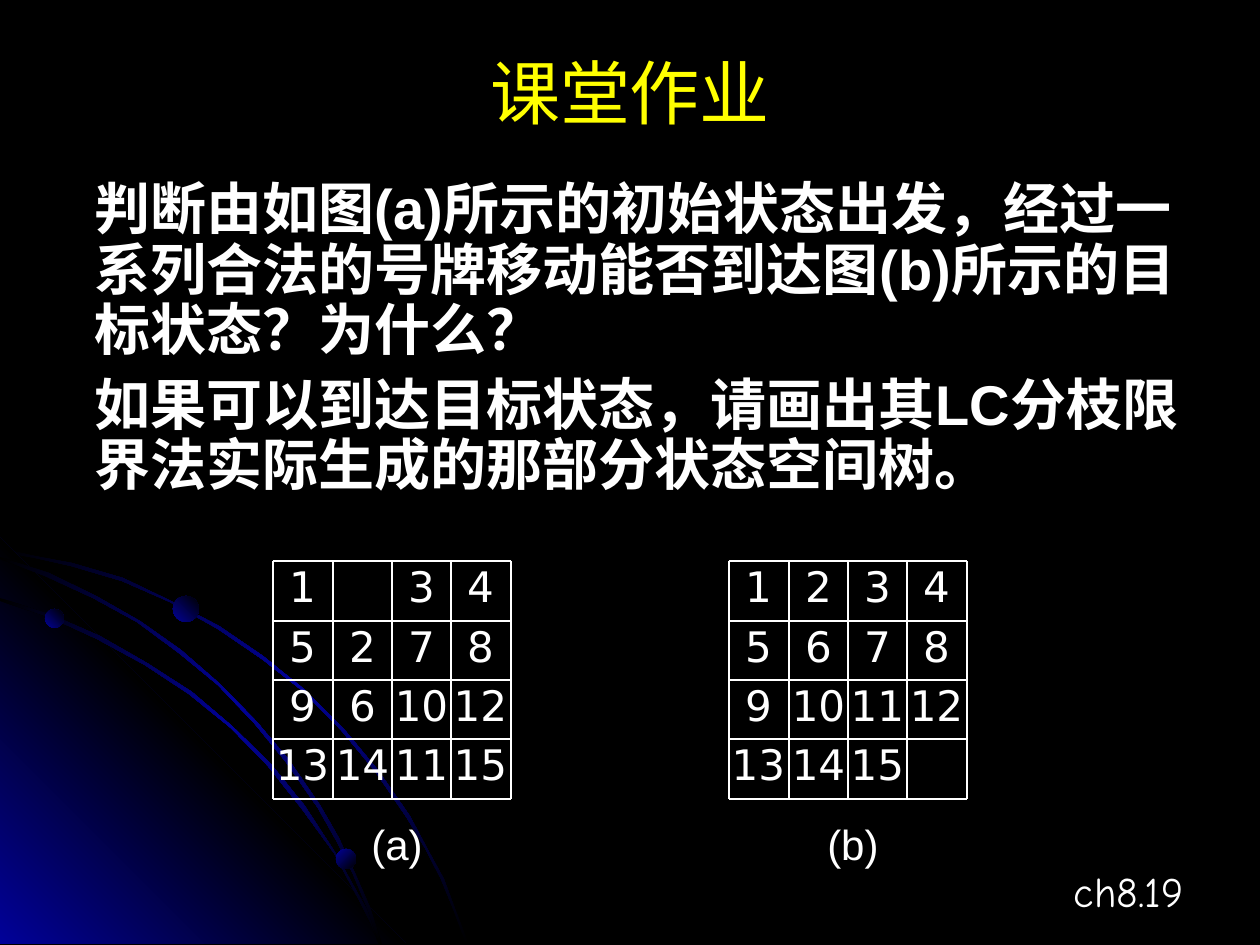
from copy import deepcopy

from pptx import Presentation
from pptx.dml.color import RGBColor
from pptx.enum.text import MSO_ANCHOR, MSO_AUTO_SIZE, PP_ALIGN
from pptx.enum.shapes import MSO_CONNECTOR, MSO_SHAPE
from pptx.oxml.ns import qn
from pptx.oxml.xmlchemy import OxmlElement
from pptx.util import Inches, Pt

PX = 7257  # EMU per px, 126 px to the inch

WHITE = RGBColor(0xFF, 0xFF, 0xFF)
THEME = {
    "black": RGBColor(0, 0, 0),
    "blue": RGBColor(0x01, 0x01, 0x99),
    "title": {"name": "Arial", "size": Pt(40), "bold": False, "color": RGBColor(0xFF, 0xFF, 0)},
    "body": {"name": "Arial", "size": Pt(32), "bold": True, "color": WHITE},
    "tile": {"name": "DejaVu Sans", "size": Pt(24), "color": WHITE},
    "label": {"name": "Arial", "size": Pt(24), "color": WHITE},
    "footer": {"name": "Comic Neue", "size": Pt(24), "color": WHITE},
    "line": WHITE,
}


def write(shape, texts, style, alignment, margins=None):
    """Fill a text shape with paragraphs in one theme style."""
    frame = shape.text_frame
    frame.word_wrap = True
    frame.auto_size = MSO_AUTO_SIZE.NONE
    if margins is not None:
        for side in ("left", "top", "right", "bottom"):
            setattr(frame, f"margin_{side}", margins)
    frame.text = "\n".join(texts)
    for paragraph in frame.paragraphs:
        paragraph.alignment = alignment
        for run in paragraph.runs:
            for name, value in THEME[style].items():
                if name == "color":
                    run.font.color.rgb = value
                else:
                    setattr(run.font, name, value)


def paint(shape, colors, angle):
    """Give a shape evenly spaced gradient stops; the angle runs anticlockwise."""
    shape.shadow.inherit = False
    shape.line.fill.background()
    shape.fill.gradient()
    shape.fill.gradient_angle = angle
    stop_list = shape.element.spPr.find(".//" + qn("a:gsLst"))
    for _ in colors[2:]:
        stop_list.append(deepcopy(stop_list[0]))
    for index, (stop, color) in enumerate(zip(shape.fill.gradient_stops, colors)):
        stop.position = index / (len(colors) - 1)
        stop.color.rgb = THEME[color]


presentation = Presentation()
presentation.slide_width = Inches(10)
presentation.slide_height = Inches(7.5)
slide = presentation.slides.add_slide(presentation.slide_layouts[1])
slide.background.fill.solid()
slide.background.fill.fore_color.rgb = THEME["black"]

# Corner decoration: glowing arcs and a blue corner
ARC = ("black", "blue", "black")
CORNER = ("blue", "black", "blue")
outlines = [
    (ARC, 315, [
        (72, 563), (35, 556), (0, 548), (0, 552), (35, 558), (71, 566), (122, 581),
        (170, 602), (218, 629), (262, 659), (304, 692), (341, 730), (375, 771),
        (407, 818), (425, 848), (441, 879), (454, 911), (466, 944), (469, 944),
        (456, 911), (444, 879), (427, 848), (410, 816), (378, 770), (343, 728),
        (305, 690), (263, 656), (219, 626), (171, 601), (123, 578)]),
    (CORNER, 45, [(406, 944), (0, 944), (0, 538)]),
    (ARC, 315, [
        (359, 900), (370, 922), (379, 944), (382, 944), (373, 920), (360, 897),
        (335, 852), (305, 806), (271, 764), (232, 726), (192, 692), (147, 663),
        (100, 636), (52, 615), (0, 598), (0, 601), (49, 617), (97, 639), (145, 665),
        (189, 694), (231, 728), (268, 766), (302, 809), (334, 853)]),
    (ARC, 315, [
        (0, 557), (0, 559), (45, 576), (93, 598), (137, 622), (179, 653), (218, 685),
        (255, 724), (286, 762), (318, 808), (336, 840), (353, 874), (368, 910),
        (379, 944), (382, 944), (370, 907), (355, 873), (339, 838), (320, 805),
        (289, 760), (257, 722), (220, 684), (181, 650), (140, 621), (96, 596),
        (49, 573)]),
]
decoration = slide.shapes.add_group_shape().shapes
for colors, angle, points in outlines:
    builder = decoration.build_freeform(*points[0], scale=PX)
    builder.add_line_segments(points[1:], close=True)
    paint(builder.convert_to_shape(), colors, angle)

# Beads on the arcs
for left, top, size, angle in [(45, 609, 19, 45), (336, 849, 20, 315), (173, 596, 26, 45)]:
    bead = decoration.add_shape(MSO_SHAPE.OVAL, left * PX, top * PX, size * PX, size * PX)
    paint(bead, ("blue", "black"), angle)

# Title
title = slide.shapes.title
title.left, title.top, title.width, title.height = 63 * PX, 38 * PX, 1134 * PX, 107 * PX
write(title, ["课堂作业"], "title", PP_ALIGN.CENTER)
title.text_frame.vertical_anchor = MSO_ANCHOR.MIDDLE

# Questions
body = slide.placeholders[1]
body.left, body.top, body.width, body.height = 34 * PX, 175 * PX, 1160 * PX, 338 * PX
write(body, [
    "判断由如图(a)所示的初始状态出发，经过一系列合法的号牌移动能否到达图(b)所示的目标状态？为什么？",
    "如果可以到达目标状态，请画出其LC分枝限界法实际生成的那部分状态空间树。",
], "body", PP_ALIGN.LEFT)
for index, paragraph in enumerate(body.text_frame.paragraphs):
    properties = paragraph._p.get_or_add_pPr()
    properties.set("marL", str(48 * PX))
    properties.set("indent", "0")
    properties.append(OxmlElement("a:buNone"))
    paragraph.line_spacing = 0.9
    paragraph.space_before = Pt(8 * index)

# Puzzle boards: 0 is the empty square
BOARD_TOP, BOARD_SIZE, COUNT = 561, 238, 4
offsets = [round(index * BOARD_SIZE / COUNT) for index in range(COUNT + 1)]
boards = [
    ("(a)", 273, [[1, 0, 3, 4], [5, 2, 7, 8], [9, 6, 10, 12], [13, 14, 11, 15]]),
    ("(b)", 729, [[1, 2, 3, 4], [5, 6, 7, 8], [9, 10, 11, 12], [13, 14, 15, 0]]),
]
for label, board_left, rows in boards:
    board = slide.shapes.add_group_shape().shapes
    right, bottom = board_left + BOARD_SIZE, BOARD_TOP + BOARD_SIZE

    # Grid lines
    for offset in offsets:
        x, y = board_left + offset, BOARD_TOP + offset
        for ends in [(board_left, y, right, y), (x, BOARD_TOP, x, bottom)]:
            line = board.add_connector(MSO_CONNECTOR.STRAIGHT, *[end * PX for end in ends])
            line.line.color.rgb = THEME["line"]
            line.line.width = Pt(1.5)
            line.element.spPr.append(OxmlElement("a:effectLst"))

    # Numbered tiles
    for row, y in zip(rows, offsets):
        for number, x in zip(row, offsets):
            if number:
                inset = 10 if number < 10 else 0
                tile = board.add_textbox((board_left + x + inset) * PX, (BOARD_TOP + y) * PX,
                                         (59 - 2 * inset) * PX, 50 * PX)
                write(tile, [str(number)], "tile", PP_ALIGN.CENTER, 0)

    caption = slide.shapes.add_textbox((board_left + 60) * PX, 819 * PX, 128 * PX, 50 * PX)
    write(caption, [label], "label", PP_ALIGN.CENTER, 0)

# Page number
footer = slide.shapes.add_textbox(898 * PX, 859 * PX, 298 * PX, 63 * PX)
write(footer, ["ch8.19"], "footer", PP_ALIGN.RIGHT)

presentation.save("out.pptx")
